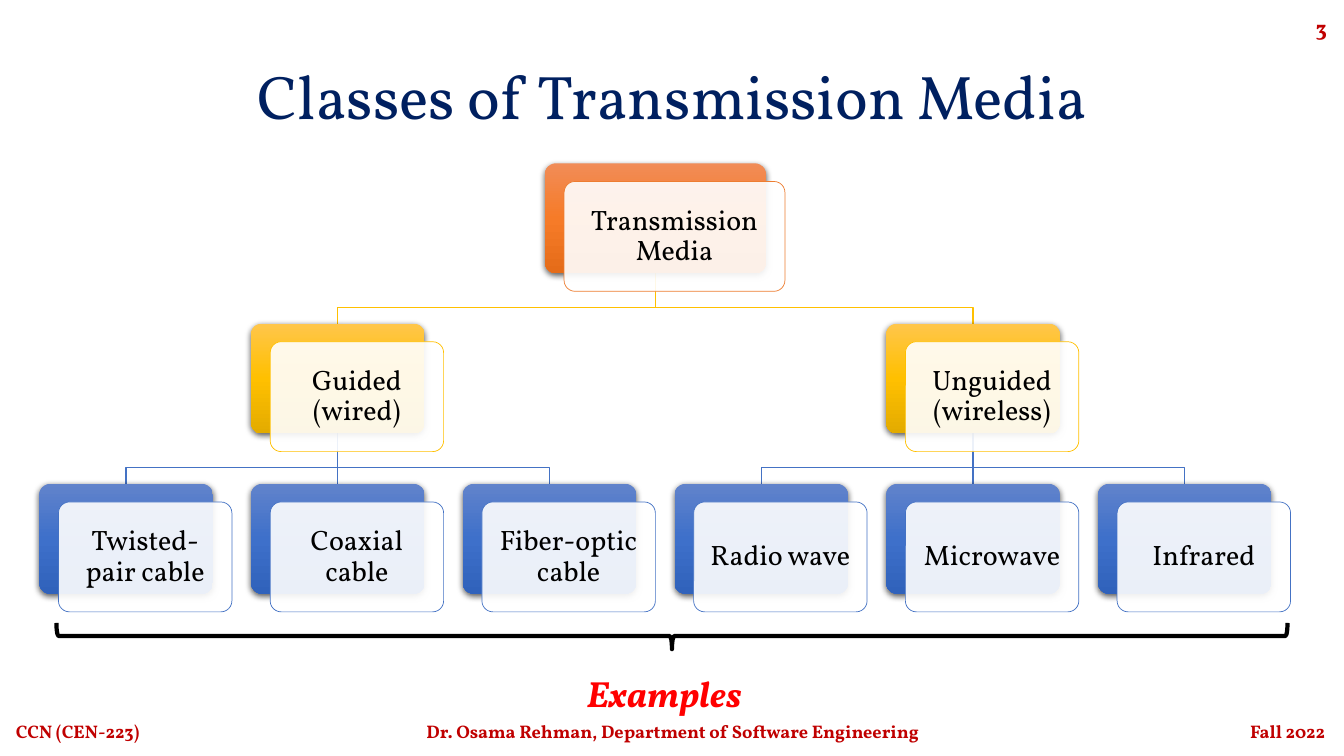
from lxml.etree import SubElement
from pptx import Presentation
from pptx.dml.color import RGBColor
from pptx.enum.shapes import MSO_CONNECTOR, MSO_SHAPE
from pptx.enum.text import MSO_ANCHOR, PP_ALIGN
from pptx.oxml.ns import qn
from pptx.util import Inches, Pt

ORANGE = ("ED7D31", ["F18C57", "F67B28", "E56C19"])
YELLOW = ("FFC000", ["FFC64B", "FFC000", "E3AB00"])
BLUE = ("4472C4", ["6183CB", "3E70CA", "3062BB"])
GUIDED_COLUMN, UNGUIDED_COLUMN = 1, 4
LEAVES = ["Twisted-pair cable", "Coaxial cable", "Fiber-optic cable",
          "Radio wave", "Microwave", "Infrared"]
LEVEL_TOP, LEVEL_PITCH = 1.62, 1.59
FIRST_CENTER, COLUMN_PITCH = 1.25, 2.1
BOX_HEIGHT, BOX_WIDTH, ROOT_WIDTH = 1.09, 1.72, 2.19
CARD_OFFSET_X, CARD_OFFSET_Y = 0.19, 0.18
JOINT_DROP = 0.34


def color(hex_code):
    return RGBColor.from_string(hex_code)


def column_center(column):
    return FIRST_CENTER + column * COLUMN_PITCH


def level_top(level):
    return LEVEL_TOP + level * LEVEL_PITCH


def add_color(parent, hex_code, alpha=None):
    element = SubElement(parent, qn("a:srgbClr"), val=hex_code)
    if alpha is not None:
        SubElement(element, qn("a:alpha"), val=str(alpha * 1000))


class TreeSlide:
    font_name = "Vollkorn"

    def __init__(self, slide):
        self.slide = slide

    def set_text(self, shape, text, size, hex_code, align=PP_ALIGN.LEFT,
                 bold=False, italic=False, line_spacing=None):
        frame = shape.text_frame
        frame.word_wrap = True
        frame.vertical_anchor = MSO_ANCHOR.MIDDLE
        frame.text = text
        paragraph = frame.paragraphs[0]
        paragraph.alignment = align
        if line_spacing:
            paragraph.line_spacing = line_spacing
        font = paragraph.runs[0].font
        font.name, font.size = self.font_name, Pt(size)
        font.bold, font.italic = bold, italic
        font.color.rgb = color(hex_code)

    def text(self, left, top, width, height, *content, **style):
        box = self.slide.shapes.add_textbox(
            Inches(left), Inches(top), Inches(width), Inches(height))
        self.set_text(box, *content, **style)

    def box(self, left, top, width):
        shape = self.slide.shapes.add_shape(
            MSO_SHAPE.ROUNDED_RECTANGLE, Inches(left), Inches(top),
            Inches(width), Inches(BOX_HEIGHT))
        shape.adjustments[0] = 0.1
        shape.shadow.inherit = False
        return shape

    def backing(self, left, top, width, gradient):
        """Shadowed box with a vertical three-colour gradient."""
        shape = self.box(left, top, width)
        shape.line.fill.background()
        shape.fill.gradient()
        shape.fill.gradient_angle = 270
        properties = shape.element.spPr
        stops = properties.find(".//" + qn("a:gsLst"))
        for stop in list(stops):
            stops.remove(stop)
        for index, hex_code in enumerate(gradient):
            stop = SubElement(stops, qn("a:gs"), pos=str(index * 50000))
            add_color(stop, hex_code)
        shadow = SubElement(
            properties.find(qn("a:effectLst")), qn("a:outerShdw"),
            blurRad=str(Pt(4.5)), dist=str(Pt(1.5)), dir="5400000",
            algn="ctr", rotWithShape="0")
        add_color(shadow, "000000", 63)

    def card(self, left, top, width, text, line_color):
        """Translucent white box that carries the label."""
        shape = self.box(left, top, width)
        shape.fill.solid()
        shape.fill.fore_color.rgb = color("FFFFFF")
        fill_color = shape.element.spPr.find(qn("a:solidFill"))[0]
        SubElement(fill_color, qn("a:alpha"), val="90000")
        shape.line.color.rgb = color(line_color)
        shape.line.width = Pt(0.5)
        frame = shape.text_frame
        frame.margin_left = frame.margin_right = Inches(0.11)
        frame.margin_top = frame.margin_bottom = Inches(0.11)
        self.set_text(shape, text, 20, "000000", PP_ALIGN.CENTER,
                      line_spacing=0.9)

    def node(self, center, level, text, theme, width=BOX_WIDTH):
        line_color, gradient = theme
        left, top = center - width / 2, level_top(level)
        self.backing(left, top, width, gradient)
        self.card(left + CARD_OFFSET_X, top + CARD_OFFSET_Y, width, text,
                  line_color)

    def branch(self, parent_center, child_center, level, line_color):
        """Line from a parent at this level down to a child one level below."""
        start = level_top(level) + BOX_HEIGHT
        joint, end = start + JOINT_DROP, level_top(level + 1)
        parent_x, child_x = Inches(parent_center), Inches(child_center)
        if parent_x == child_x:
            line = self.slide.shapes.add_connector(
                MSO_CONNECTOR.STRAIGHT, parent_x, Inches(start),
                child_x, Inches(end))
            SubElement(line.element.spPr, qn("a:effectLst"))
        else:
            builder = self.slide.shapes.build_freeform(parent_x, Inches(start))
            builder.add_line_segments(
                [(parent_x, Inches(joint)), (child_x, Inches(joint)),
                 (child_x, Inches(end))], close=False)
            line = builder.convert_to_shape()
            line.fill.background()
            line.shadow.inherit = False
        line.line.color.rgb = color(line_color)
        line.line.width = Pt(1)

    def brace(self, left, top, width, height):
        """Downward brace: a left brace turned about its centre."""
        shape = self.slide.shapes.add_shape(
            MSO_SHAPE.LEFT_BRACE, Inches(left + (width - height) / 2),
            Inches(top + (height - width) / 2), Inches(height), Inches(width))
        shape.rotation = 270
        shape.fill.background()
        shape.line.color.rgb = color("000000")
        shape.line.width = Pt(3)
        shape.shadow.inherit = False


def main():
    presentation = Presentation()
    presentation.slide_width = Inches(13.33)
    presentation.slide_height = Inches(7.5)
    tree = TreeSlide(
        presentation.slides.add_slide(presentation.slide_layouts[6]))

    root = column_center((len(LEAVES) - 1) / 2)
    guided = column_center(GUIDED_COLUMN)
    unguided = column_center(UNGUIDED_COLUMN)
    for parent in (guided, unguided):
        tree.branch(root, parent, 0, YELLOW[0])
        for step in (-1, 0, 1):
            tree.branch(parent, parent + step * COLUMN_PITCH, 1, BLUE[0])

    tree.node(root, 0, "Transmission Media", ORANGE, ROOT_WIDTH)
    tree.node(guided, 1, "Guided (wired)", YELLOW)
    tree.node(unguided, 1, "Unguided (wireless)", YELLOW)
    for column, label in enumerate(LEAVES):
        tree.node(column_center(column), 2, label, BLUE)

    tree.text(0.92, 0.4, 11.5, 1.18, "Classes of Transmission Media", 44,
              "002060", PP_ALIGN.CENTER, line_spacing=0.9)
    tree.brace(0.56, 6.18, 12.21, 0.26)
    tree.text(5.72, 6.6, 1.89, 0.54, "Examples", 26, "FF0000",
              bold=True, italic=True)

    tree.text(10.26, 0.07, 3, 0.4, "3", 16, "C00000", PP_ALIGN.RIGHT,
              bold=True)
    footers = [
        (0.06, 2.52, "CCN (CEN-223)", PP_ALIGN.LEFT),
        (4.08, 5.18, "Dr. Osama Rehman, Department of Software Engineering",
         PP_ALIGN.CENTER),
        (10.24, 3, "Fall 2022", PP_ALIGN.RIGHT),
    ]
    for left, width, text, align in footers:
        tree.text(left, 7.05, width, 0.4, text, 13, "C00000", align, bold=True)

    presentation.save("out.pptx")


if __name__ == "__main__":
    main()
